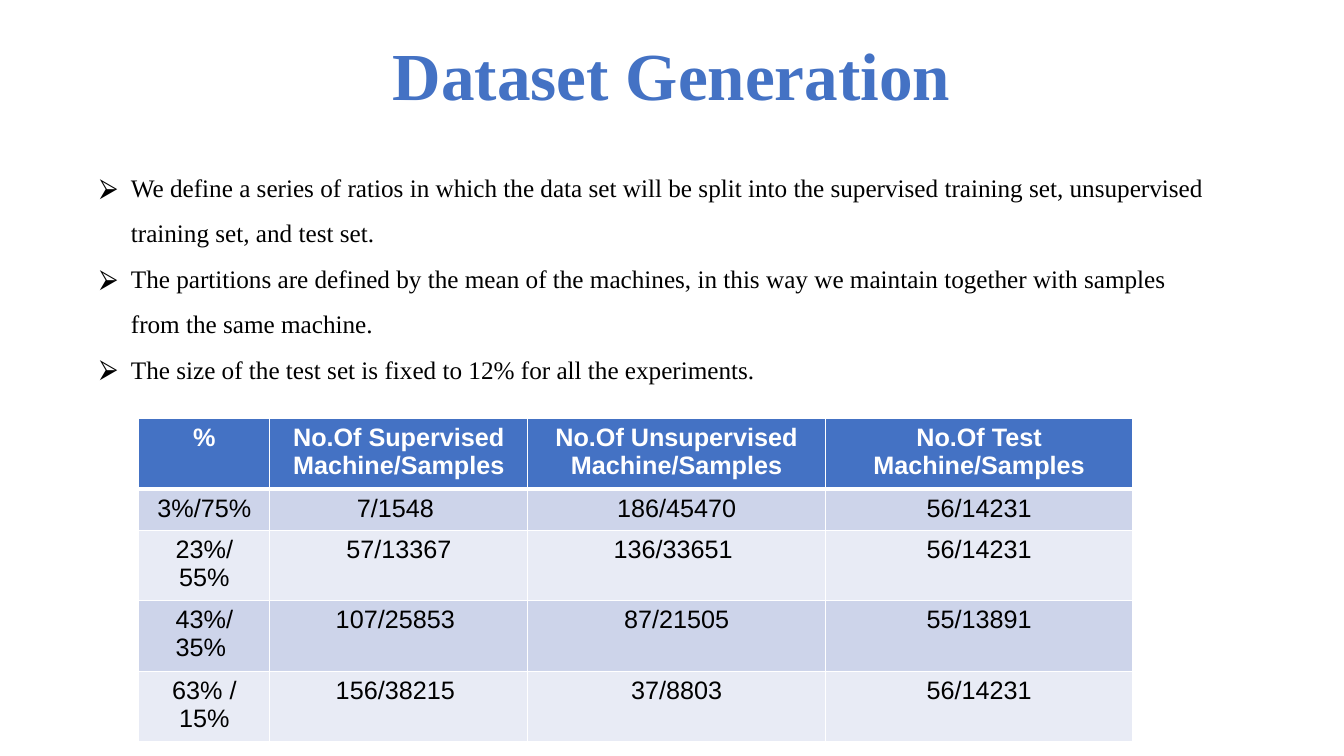
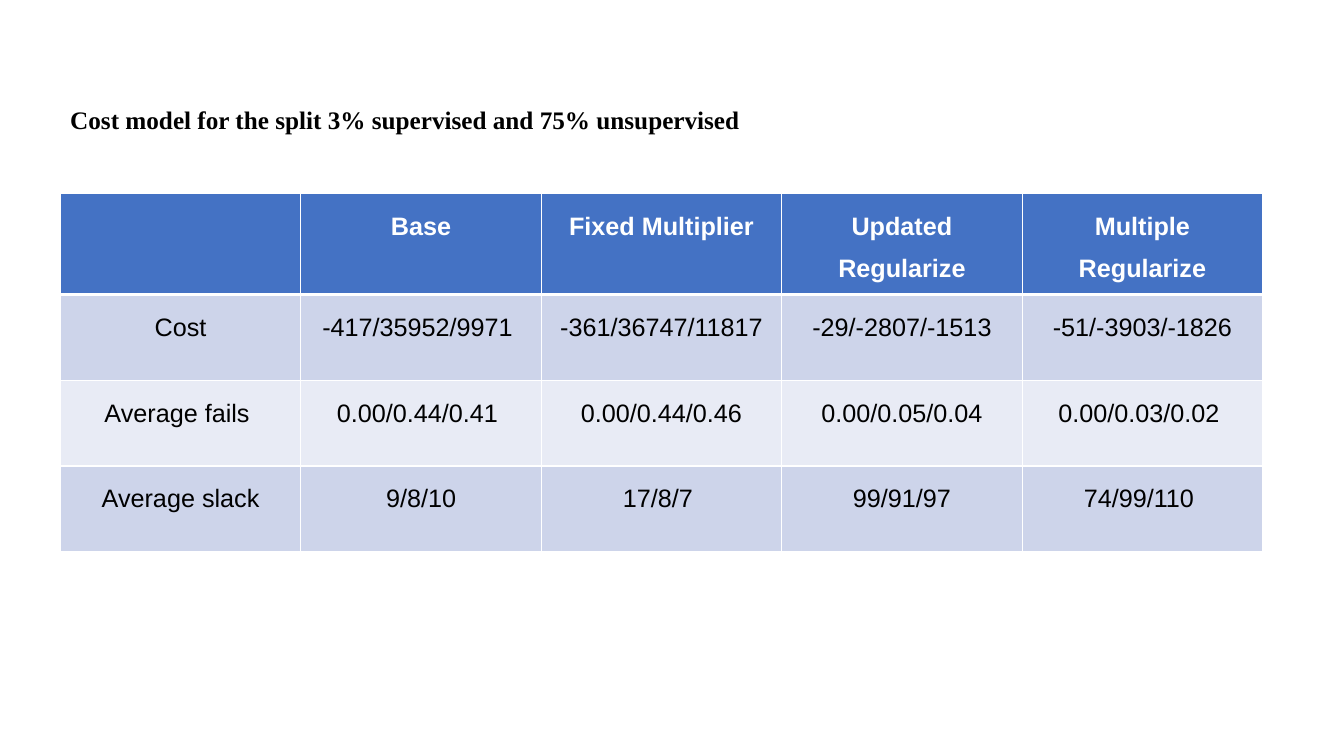
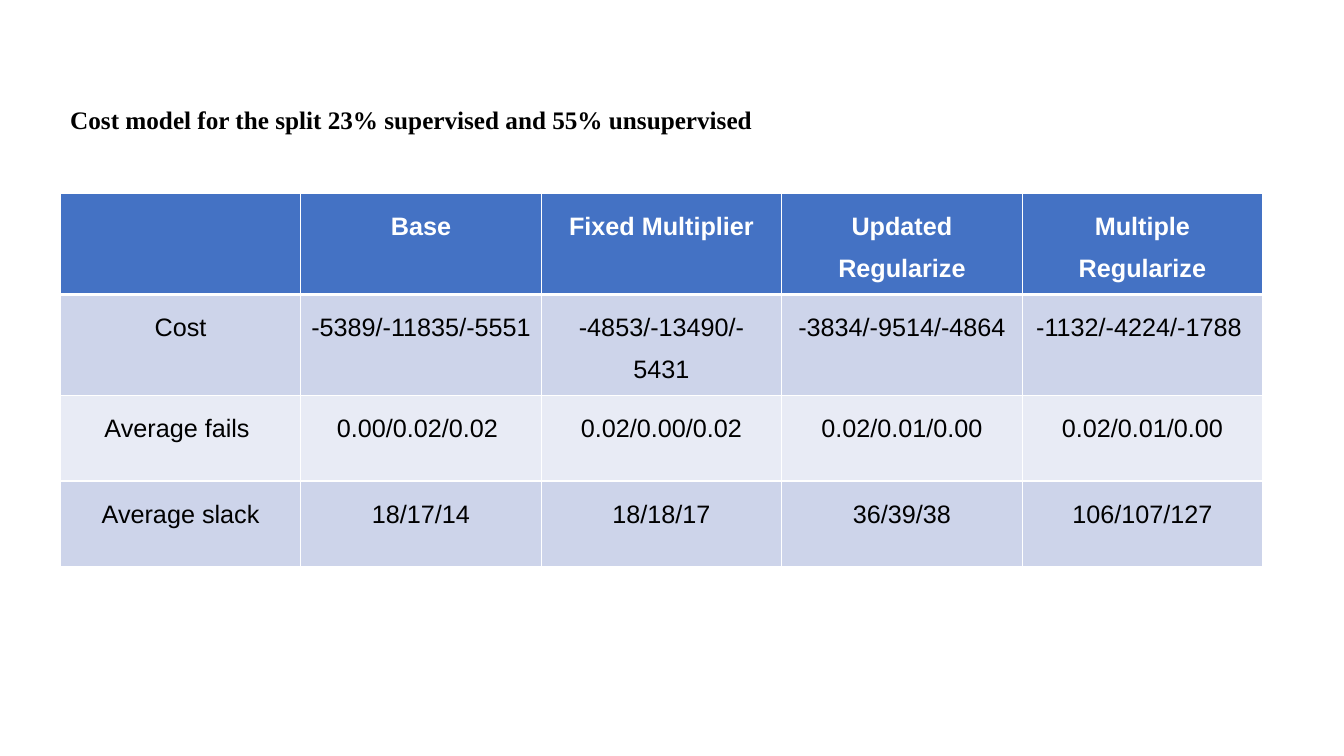
"""Build three slides on dataset splits and cost models."""
from dataclasses import dataclass

from lxml import etree
from pptx import Presentation
from pptx import util as u
from pptx.dml.color import RGBColor
from pptx.enum import text
from pptx.oxml.ns import qn

TITLE = "Dataset Generation"
POINTS = [
    "We define a series of ratios in which the data set will be split into the "
    "supervised training set, unsupervised training set, and test set.",
    "The partitions are defined by the mean of the machines, in this way we "
    "maintain together with samples from the same machine.",
    "The size of the test set is fixed to 12% for all the experiments.",
]
SPLITS = [
    ("%", "No.Of Supervised Machine/Samples", "No.Of Unsupervised Machine/Samples",
     "No.Of Test Machine/Samples"),
    ("3%/75%", "7/1548 ", "186/45470", "56/14231"),
    ("23%/ 55%", "57/13367", "136/33651 ", "56/14231"),
    ("43%/ 35% ", "107/25853 ", "87/21505", "55/13891"),
    ("63% / 15%", "156/38215 ", "37/8803", "56/14231"),
]
HEADS = ("", "Base", "Fixed Multiplier", "Updated Regularize", "Multiple Regularize")
COSTS = [
    ("Cost model for the split 3% supervised and 75% unsupervised", [
        ("Cost", "-417/35952/9971 ", "-361/36747/11817", "-29/-2807/-1513",
         "-51/-3903/-1826"),
        ("Average fails ", "0.00/0.44/0.41 ", "0.00/0.44/0.46", "0.00/0.05/0.04",
         "0.00/0.03/0.02 "),
        ("Average slack", "9/8/10", "17/8/7 ", "99/91/97", "74/99/110 "),
    ]),
    ("Cost model for the split 23% supervised and 55% unsupervised", [
        ("Cost", "-5389/-11835/-5551", "-4853/-13490/-5431", "-3834/-9514/-4864",
         "-1132/-4224/-1788 "),
        ("Average fails ", "0.00/0.02/0.02 ", "0.02/0.00/0.02", "0.02/0.01/0.00",
         "0.02/0.01/0.00"),
        ("Average slack", "18/17/14", "18/18/17", "36/39/38", "106/107/127"),
    ]),
]


@dataclass(frozen=True)
class Theme:
    blue: str = "4472C4"
    bands: tuple = ("CDD4EA", "E8EBF5")
    white: str = "FFFFFF"
    black: str = "000000"
    serif: str = "Times New Roman"
    sans: str = "Arial"
    big: int = 48
    base: int = 18
    thin: int = 1
    thick: int = 3


T = Theme()


def style(para, face, size, color, bold=False, align=None, space=None):
    font = para.font
    font.name, font.size, font.bold = face, u.Pt(size), bold
    font.color.rgb = RGBColor.from_string(color)
    para.alignment = align
    para.line_spacing = space


def add_text(slide, box, lines, **look):
    frame = slide.shapes.add_textbox(*map(u.Cm, box)).text_frame
    frame.word_wrap = True
    frame.auto_size = text.MSO_AUTO_SIZE.SHAPE_TO_FIT_TEXT
    frame.text = "\n".join(lines)
    for para in frame.paragraphs:
        style(para, T.serif, **look)
    return frame.paragraphs


def add_bullet(para):
    props = para._p.get_or_add_pPr()
    props.set("marL", str(u.Cm(0.79)))
    props.set("indent", str(u.Cm(-0.79)))
    color = etree.SubElement(props, qn("a:buClr"))
    etree.SubElement(color, qn("a:srgbClr"), val=T.black)
    etree.SubElement(props, qn("a:buFont"), typeface=T.sans)
    etree.SubElement(props, qn("a:buChar"), char="⮚")


def add_edges(cell, top, bottom):
    props = cell._tc.get_or_add_tcPr()
    for side, width in zip("LRTB", (T.thin, T.thin, top, bottom)):
        line = etree.SubElement(props, qn(f"a:ln{side}"), w=str(u.Pt(width)))
        fill = etree.SubElement(line, qn("a:solidFill"))
        etree.SubElement(fill, qn("a:srgbClr"), val=T.white)


def add_grid(slide, left, top, widths, height, rows, space=None):
    size = (left, top, sum(widths), height * len(rows))
    table = slide.shapes.add_table(len(rows), len(widths), *map(u.Cm, size)).table
    for col, width in zip(table.columns, widths):
        col.width = u.Cm(width)
    for i, row in enumerate(rows):
        table.rows[i].height = u.Cm(height)
        head = i == 0
        for j, words in enumerate(row):
            cell = table.cell(i, j)
            cell.text = words
            style(cell.text_frame.paragraphs[0], T.sans, T.base,
                  T.white if head else T.black, head, text.PP_ALIGN.CENTER, space)
            add_edges(cell, T.thick if i == 1 else T.thin, T.thick if head else T.thin)
            cell.fill.solid()
            shade = T.blue if head else T.bands[(i - 1) % 2]
            cell.fill.fore_color.rgb = RGBColor.from_string(shade)


def main():
    deck = Presentation()
    deck.slide_width, deck.slide_height = u.Cm(33.87), u.Cm(19.05)
    blank = deck.slide_layouts[6]

    slide = deck.slides.add_slide(blank)
    add_text(slide, (8.46, 0.71, 16.94, 2.31), [TITLE], size=T.big, color=T.blue,
             bold=True, align=text.PP_ALIGN.CENTER)
    for para in add_text(slide, (2.26, 3.84, 28.4, 5.64), POINTS, size=T.base,
                         color=T.black, space=1.5):
        add_bullet(para)
    add_grid(slide, 3.5, 10.55, (3.3, 6.5, 7.5, 7.75), 1.03, SPLITS)

    for title, rows in COSTS:
        slide = deck.slides.add_slide(blank)
        add_text(slide, (1.52, 2.5, 24.71, 1.03), [title], size=T.base,
                 color=T.black, bold=True)
        add_grid(slide, 1.52, 4.88, [6.06] * len(HEADS), 2.16, [HEADS, *rows], 1.5)

    deck.save("out.pptx")


if __name__ == "__main__":
    main()
